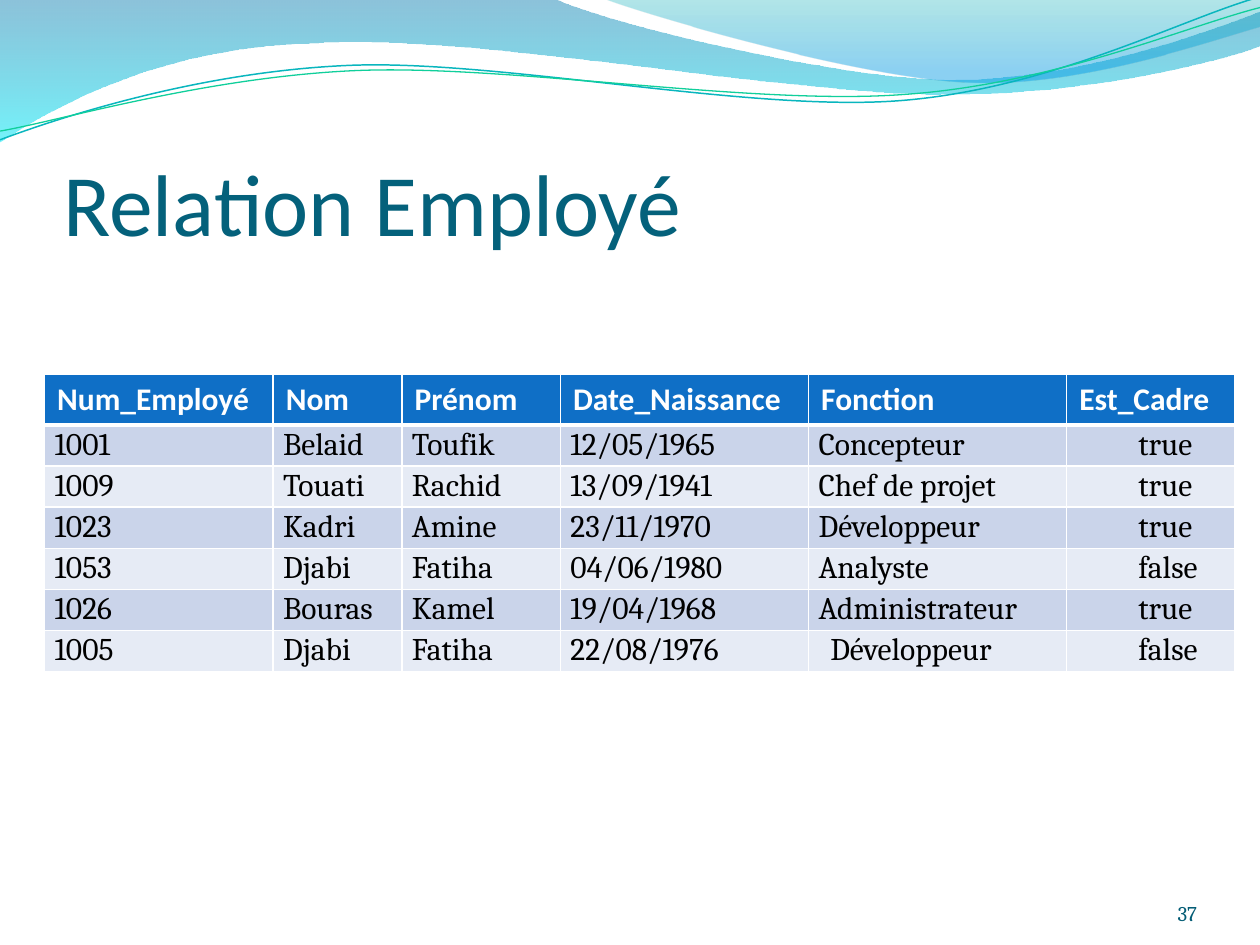
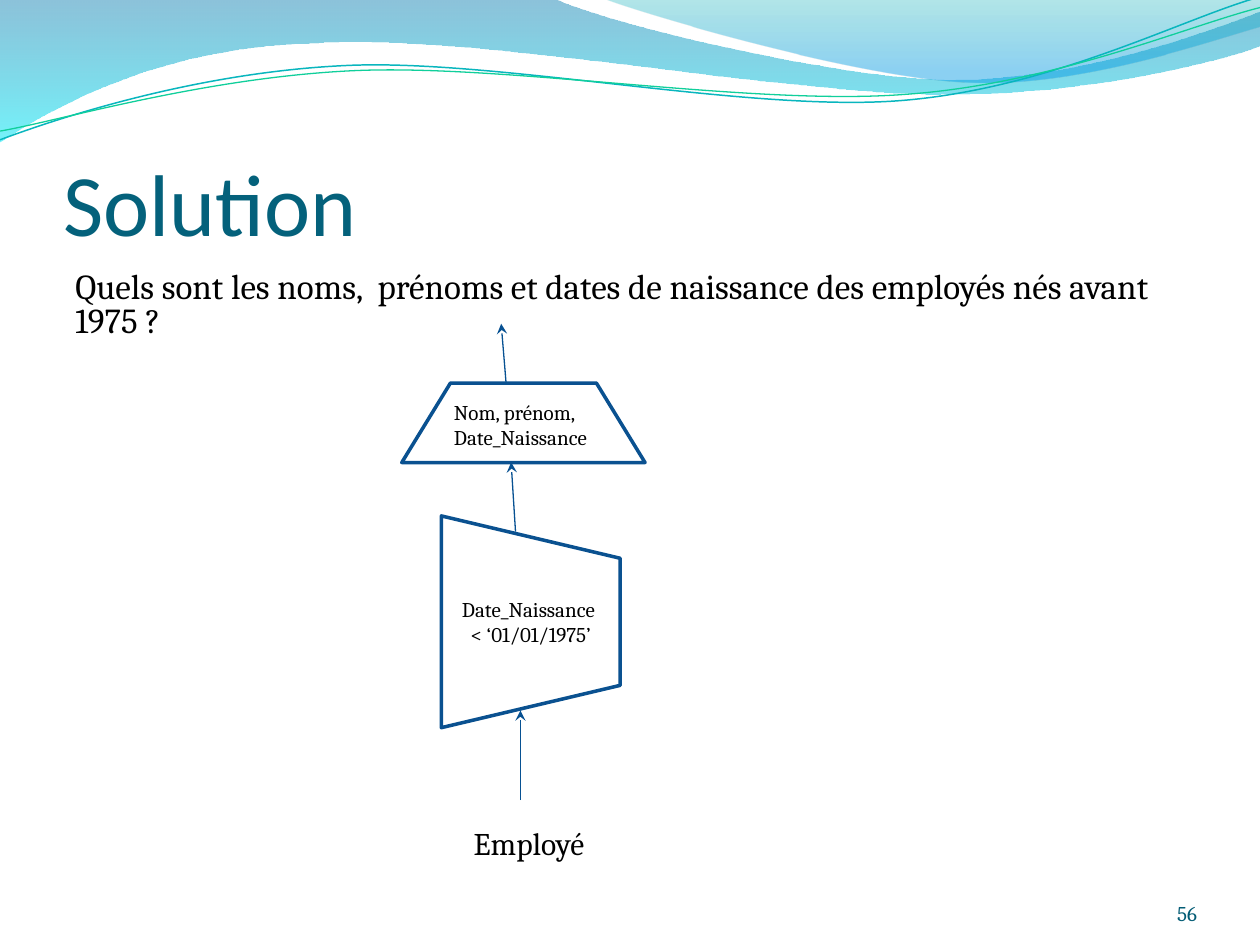
import pptx
import pptx.dml.color
import pptx.enum.shapes
import pptx.enum.text
import pptx.oxml
import pptx.oxml.ns
import pptx.util
from dataclasses import dataclass

Pt = pptx.util.Pt
qn = pptx.oxml.ns.qn
SHAPE = pptx.enum.shapes.MSO_SHAPE
ALIGN = pptx.enum.text.PP_ALIGN
ANCHOR = pptx.enum.text.MSO_ANCHOR
NAMESPACE = pptx.oxml.ns.nsdecls("a")


@dataclass(frozen=True)
class Theme:
    heading_font: str = "Calibri"
    body_font: str = "Cambria"
    title_size: int = 50
    question_size: int = 20
    text_size: int = 18
    small_size: int = 12
    title: str = "04617B"
    page_number: str = "035C75"
    text: str = "000000"
    white: str = "FFFFFF"
    header: str = "0F6FC6"
    bands: tuple = ("CAD4EA", "E6EBF5")
    arrow: str = "075192"
    outline: str = "0A5190"


THEME = Theme()

# Each step holds one point (straight) or three points (Bézier curve).
# Gradient stops: position, colour, opacity in percent.
WAVES = [
    ((0, 0),
     [(316.8, -0.7), (342.7, 12.2, 478.1, 45.4, 545.8, 45.4),
      (614.2, 45.4, 689.8, 18.7, 720, 6.5), (720.7, 25.9),
      (707.8, 31.7, 626.4, 54.7, 537.1, 54),
      (447.8, 54, 275, 20.2, 185, 24.5),
      (92.9, 25.9, 33.1, 59.8, -0.7, 81.4)],
     [(0, "0079AD", 45), (1, "00E9F7", 55)]),
    ((344.9, -0.7),
     [(366.5, 7.9, 491, 44.6, 553.7, 46.8),
      (616.3, 49.7, 691.9, 23, 720, 15.1), (720, 0)],
     [(0, "00ABB4", 30), (0.8, "0099E4", 45)]),
]
RIPPLES = [
    ((0, 79.9),
     [(34.6, 67, 113.8, 41, 199.4, 37.4),
      (284.4, 33.8, 427, 64.1, 513.4, 57.6),
      (599.8, 51.1, 675.4, 10.8, 718.6, -1.4)], "09B6BE", 0.85),
    ((0, 74.9),
     [(33.8, 69.1, 118.1, 43.9, 203.8, 40.3),
      (290.2, 36.7, 429.8, 60.5, 516.2, 54),
      (601.9, 48.2, 677.5, 15.1, 720, 4.3)], "10CF9B", 0.75),
]

COLUMNS = [("Num_Employé", 130.6), ("Nom", 73.6), ("Prénom", 90.6),
           ("Date_Naissance", 141.8), ("Fonction", 147.5), ("Est_Cadre", 96.2)]
EMPLOYEES = [
    ("1001", "Belaid", "Toufik", "12/05/1965", "Concepteur", "true"),
    ("1009", "Touati", "Rachid", "13/09/1941", "Chef de projet", "true"),
    ("1023", "Kadri", "Amine", "23/11/1970", "Développeur", "true"),
    ("1053", "Djabi", "Fatiha", "04/06/1980", "Analyste", "false"),
    ("1026", "Bouras", "Kamel", "19/04/1968", "Administrateur", "true"),
    ("1005", "Djabi", "Fatiha", "22/08/1976", "Développeur", "false"),
]


def rgb(color):
    return pptx.dml.color.RGBColor.from_string(color)


def style_line(line, color, width):
    line.color.rgb = rgb(color)
    line.width = Pt(width)


def style_paragraph(para, size, color, font=THEME.body_font, bold=False):
    para.font.size = Pt(size)
    para.font.name = font
    para.font.bold = bold
    para.font.color.rgb = rgb(color)


def add_outline(page, start, steps, close):
    """Draw straight steps as lines and six-number steps as Bézier curves."""
    points = [(Pt(x), Pt(y)) for step in steps
              for x, y in zip(step[::2], step[1::2])]
    builder = page.shapes.build_freeform(*map(Pt, start))
    builder.add_line_segments(points, close=close)
    shape = builder.convert_to_shape()
    shape.shadow.inherit = False
    segments = iter(list(shape.element.iter(qn("a:lnTo"))))
    for step in steps:
        first = next(segments)
        if len(step) == 6:
            first.tag = qn("a:cubicBezTo")
            for _ in range(2):
                control = next(segments)
                first.append(control[0])
                control.getparent().remove(control)
    return shape


def add_wave(page, start, steps, stops):
    wave = add_outline(page, start, steps, close=True)
    wave.line.fill.background()
    wave.fill.gradient()
    wave.fill.gradient_angle = 270
    for stop, (position, color, _) in zip(wave.fill.gradient_stops, stops):
        stop.position = position
        stop.color.rgb = rgb(color)
    colors = list(wave.element.spPr.iter(qn("a:srgbClr")))
    for element, (_, _, opacity) in zip(colors, stops):
        element.append(pptx.oxml.parse_xml(
            f'<a:alpha {NAMESPACE} val="{opacity * 1000}"/>'))
    return wave


def add_ripple(page, start, steps, color, width):
    ripple = add_outline(page, start, steps, close=False)
    ripple.fill.background()
    style_line(ripple.line, color, width)
    return ripple


def decorate_layout(page):
    """Draw the waves and hand them to the layout that all slides share."""
    shapes = [add_wave(page, *wave) for wave in WAVES]
    shapes += [add_ripple(page, *ripple) for ripple in RIPPLES]
    for shape in shapes:
        page.slide_layout.shapes.element.append(shape.element)


def add_text(page, text, bounds, size, color=THEME.text, font=THEME.body_font,
             margins=(7.2, 3.6, 7.2, 3.6), anchor=ANCHOR.TOP, align=ALIGN.LEFT,
             spacing=None):
    box = page.shapes.add_textbox(*map(Pt, bounds))
    frame = box.text_frame
    frame.word_wrap = True
    frame.vertical_anchor = anchor
    (frame.margin_left, frame.margin_top,
     frame.margin_right, frame.margin_bottom) = map(Pt, margins)
    para = frame.paragraphs[0]
    para.text = text
    para.alignment = align
    para.line_spacing = spacing
    style_paragraph(para, size, color, font)


def add_page(deck, title, number):
    """Add a slide with its title and its page number."""
    page = deck.slides.add_slide(deck.slide_layouts[6])
    add_text(page, title, (36.2, 55.4, 648, 90), THEME.title_size, THEME.title,
             THEME.heading_font, margins=(0, 3.6, 0, 0), anchor=ANCHOR.BOTTOM)
    add_text(page, number, (624, 500.4, 60, 28.8), THEME.small_size,
             THEME.page_number, margins=(0, 0, 0, 0), anchor=ANCHOR.BOTTOM,
             align=ALIGN.RIGHT)
    return page


def add_cell_borders(cell, top, bottom):
    properties = cell._tc.get_or_add_tcPr()
    for side, width in (("L", 1), ("R", 1), ("T", top), ("B", bottom)):
        properties.append(pptx.oxml.parse_xml(
            f'<a:ln{side} {NAMESPACE} w="{Pt(width)}"><a:solidFill>'
            f'<a:srgbClr val="{THEME.white}"/></a:solidFill></a:ln{side}>'))


def fill_cell(cell, text, row, indent):
    is_header = row == 0
    add_cell_borders(cell, top=3 if row == 1 else 1, bottom=3 if is_header else 1)
    cell.fill.solid()
    cell.fill.fore_color.rgb = rgb(
        THEME.header if is_header else THEME.bands[(row - 1) % 2])
    cell.margin_left = cell.margin_right = Pt(7.2 if is_header else 5)
    cell.margin_top = cell.margin_bottom = Pt(3.6 if is_header else 0)
    para = cell.text_frame.paragraphs[0]
    para.text = text
    if is_header:
        style_paragraph(para, THEME.text_size, THEME.white, THEME.heading_font, True)
    else:
        para._p.get_or_add_pPr().set("marL", str(Pt(indent)))
        para.line_spacing = 1.05
        style_paragraph(para, THEME.text_size, THEME.text)


def add_employee_table(page):
    rows = [[name for name, _ in COLUMNS], *EMPLOYEES]
    widths = [width for _, width in COLUMNS]
    header_height, row_height = 28.6, 23.5
    table = page.shapes.add_table(
        len(rows), len(widths), Pt(25.5), Pt(214), Pt(sum(widths)),
        Pt(header_height + row_height * len(EMPLOYEES))).table
    for column, width in zip(table.columns, widths):
        column.width = Pt(width)
    for index, (row, values) in enumerate(zip(table.rows, rows)):
        row.height = Pt(row_height if index else header_height)
        indents = [0.7, 0.7, 0.7, 0.7, 0.7, 36]
        if index == len(EMPLOYEES):
            indents[4] = 7.4
        for cell, value, indent in zip(row.cells, values, indents):
            fill_cell(cell, value, index, indent)


def add_arrow(page, start, end):
    arrow = page.shapes.add_connector(
        pptx.enum.shapes.MSO_CONNECTOR.STRAIGHT, *map(Pt, (*start, *end)))
    style_line(arrow.line, THEME.arrow, 0.75)
    properties = arrow.element.spPr
    properties.find(qn("a:ln")).append(
        pptx.oxml.parse_xml(f'<a:tailEnd {NAMESPACE} type="stealth"/>'))
    properties.append(pptx.oxml.parse_xml(f"<a:effectLst {NAMESPACE}/>"))


def add_operator(page, bounds, rotation):
    shape = page.shapes.add_shape(SHAPE.FLOWCHART_MANUAL_OPERATION,
                                  *map(Pt, bounds))
    shape.rotation = rotation
    shape.shadow.inherit = False
    shape.fill.solid()
    shape.fill.fore_color.rgb = rgb(THEME.white)
    style_line(shape.line, THEME.outline, 2)


def add_query_tree(page):
    add_arrow(page, (297.4, 457.2), (297.4, 406))
    add_arrow(page, (294.6, 303.8), (292.1, 264.2))
    add_text(page, "Employé", (263.6, 467.3, 102.2, 35.3), THEME.text_size)
    add_operator(page, (242.8, 304.2, 121, 102.2), rotation=270)
    add_text(page, "Date_Naissance \n< ‘01/01/1975’", (252.2, 319, 102.2, 72.7),
             THEME.small_size, anchor=ANCHOR.MIDDLE, align=ALIGN.CENTER)
    add_operator(page, (229.6, 218.9, 139, 45.4), rotation=180)
    add_arrow(page, (289.2, 218.9), (286.4, 185))
    add_text(page, "Nom, prénom,\nDate_Naissance", (252.3, 224.6, 102.2, 36),
             THEME.small_size)


def main():
    deck = pptx.Presentation()
    deck.slide_width, deck.slide_height = Pt(720), Pt(540)

    relation = add_page(deck, "Relation Employé", "37")
    decorate_layout(relation)
    add_employee_table(relation)

    solution = add_page(deck, "Solution", "56")
    add_text(solution,
             "Quels sont les noms,  prénoms et dates de naissance des employés "
             "nés avant 1975 ?",
             (36, 152.4, 648, 38.2), THEME.question_size, spacing=0.8)
    add_query_tree(solution)

    deck.save("out.pptx")


if __name__ == "__main__":
    main()
